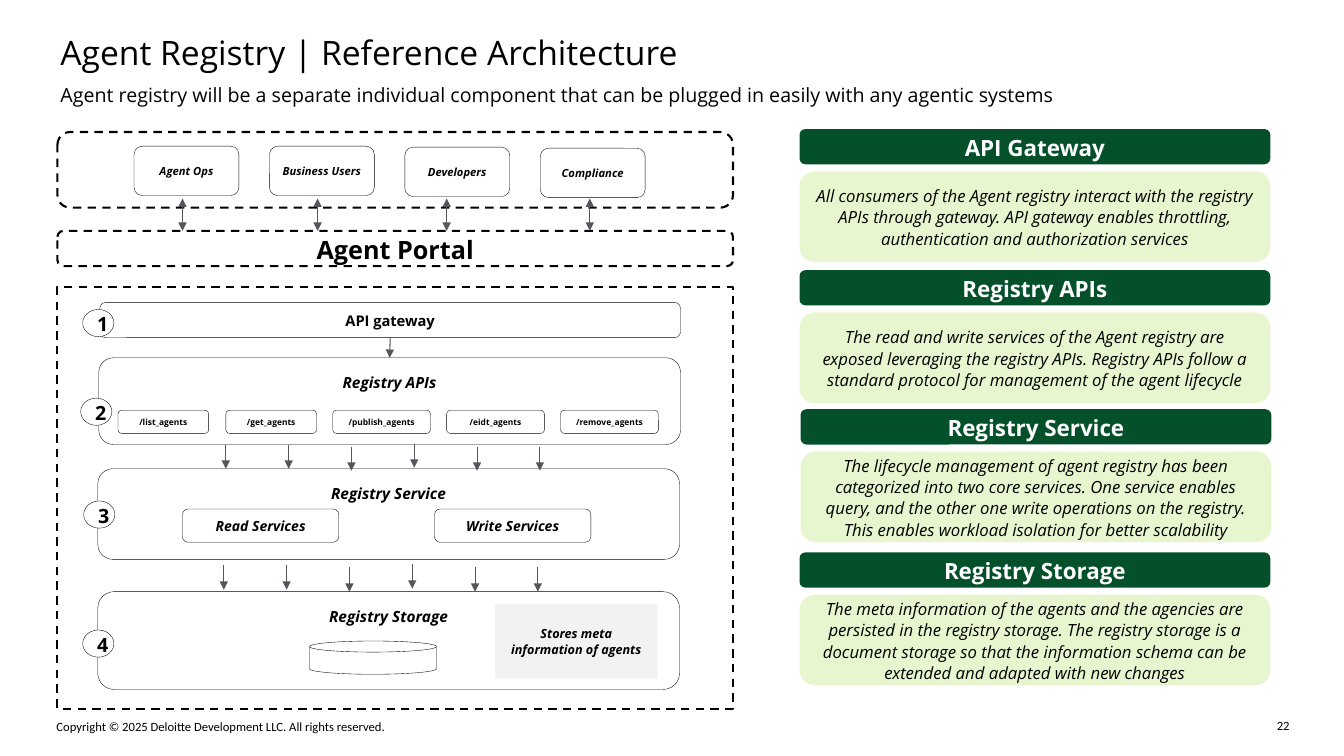
from lxml import etree
from pptx import Presentation, util as u
from pptx.dml.color import RGBColor
from pptx.enum import dml, shapes, text
from pptx.oxml.ns import qn

INK = {"black": "000000", "white": "FFFFFF", "gray": "53565A",
       "pale": "F2F2F2", "green": "03502A", "lime": "E8F6CF"}
FORM = shapes.MSO_SHAPE
ROUND = FORM.ROUNDED_RECTANGLE
MID = text.MSO_ANCHOR.MIDDLE
TOP = text.MSO_ANCHOR.TOP
ALIGN = text.PP_ALIGN
BOLD = {"bold": True}
SLANT = {"italic": True}
BOTH = {**BOLD, **SLANT}


def apply(item, values):
    for name, value in values.items():
        setattr(item, name, value)


class Board:
    def __init__(self, deck):
        self.slide = deck.slides.add_slide(deck.slide_layouts[5])
        self.shapes = self.slide.shapes
        self.face = "Open Sans"

    def fit(self, frame, words, size, font=None, ink="black", pad=0,
            anchor=TOP, wrap=True, **para):
        apply(frame, {"word_wrap": wrap, "auto_size": text.MSO_AUTO_SIZE.NONE,
                      "vertical_anchor": anchor})
        for side in ("left", "top", "right", "bottom"):
            setattr(frame, "margin_" + side, u.Inches(pad))
        line = frame.paragraphs[0]
        apply(line, {"alignment": ALIGN.LEFT, **para})
        run = line.add_run()
        run.text = words
        apply(run.font, {"name": self.face, "size": u.Pt(size),
                         "bold": False, "italic": False, **(font or {})})
        run.font.color.rgb = RGBColor.from_string(INK[ink])

    def title(self, at, words, size):
        head = self.shapes.title
        apply(head, dict(zip(("left", "top", "width", "height"), map(u.Inches, at))))
        self.fit(head.text_frame, words, size)

    def label(self, at, words, size, **style):
        note = self.shapes.add_textbox(*map(u.Inches, at))
        self.fit(note.text_frame, words, size, **style)

    def box(self, at, words="", size=11, font=BOTH, form=ROUND, fill=None,
            edge=0.25, dash=False, anchor=MID, ink="black"):
        item = self.shapes.add_shape(form, *map(u.Inches, at))
        item.shadow.inherit = False
        if fill:
            item.fill.solid()
            item.fill.fore_color.rgb = RGBColor.from_string(INK[fill])
        else:
            item.fill.background()
        if edge:
            item.line.color.rgb = RGBColor.from_string(INK["black"])
            item.line.width = u.Pt(edge)
            if dash:
                item.line.dash_style = dml.MSO_LINE.DASH
        else:
            item.line.fill.background()
        if words:
            self.fit(item.text_frame, words, size, font, ink, 0.1, anchor,
                     alignment=ALIGN.CENTER, line_spacing=1.06)
        return item

    def arrow(self, start, end, ends=("tailEnd",), join=None):
        line = self.shapes.add_connector(
            shapes.MSO_CONNECTOR.STRAIGHT, *map(u.Inches, start + end))
        if join:
            line.begin_connect(join[0], 2)
            line.end_connect(join[1], 0)
        line.line.color.rgb = RGBColor.from_string(INK["gray"])
        line.line.width = u.Pt(0.75)
        edge = line._element.spPr.find(qn("a:ln"))
        for tip in ends:
            etree.SubElement(edge, qn("a:" + tip), type="triangle")
        etree.SubElement(line._element.spPr, qn("a:effectLst"))


def users(board):
    board.box((0.57, 1.31, 6.7, 0.75), edge=1.5, dash=True)
    board.box((0.57, 2.29, 6.7, 0.35), "Agent Portal", 18, BOLD, edge=1.5, dash=True)
    crew = [("Agent Ops", 1.45, 1.81), ("Business Users", 1.45, 3.15),
            ("Developers", 1.46, 4.43), ("Compliance", 1.47, 5.85)]
    for i, (name, y, mid) in enumerate(crew):
        board.box((1.33 + 1.343 * i, y, 1.04, 0.49), name, 8)
        board.arrow((mid, 1.97), (mid, 2.29), ("headEnd", "tailEnd"))


def stack(board):
    board.box((0.57, 2.85, 6.7, 4.18), form=FORM.RECTANGLE, edge=1.5, dash=True)
    gate = board.box((0.99, 3, 5.76, 0.35), "API gateway", 10.5, BOLD)
    apis = board.box((0.98, 3.55, 5.77, 0.86), "Registry APIs", anchor=TOP)
    board.box((0.97, 4.65, 5.77, 0.9), "Registry Service", anchor=TOP)
    board.box((0.97, 5.87, 5.77, 0.97), "Registry Storage", anchor=TOP)
    board.arrow((3.87, 3.35), (3.87, 3.55), join=(gate, apis))

    calls = [("list", 1.17, 0.9), ("get", 2.24, 0.9), ("publish", 3.3, 0.97),
             ("eidt", 4.43, 0.97), ("remove", 5.56, 0.97)]
    for verb, x, wide in calls:
        board.box((x, 4.07, wide, 0.23), f"/{verb}_agents", 6, BOLD)
    for name, x in (("Read", 1.81), ("Write", 4.31)):
        board.box((x, 5.05, 1.55, 0.33), name + " Services", 10, fill="white")
    board.box((3.07, 6.36, 1.26, 0.33), form=FORM.FLOWCHART_MAGNETIC_DISK)
    board.box((4.91, 5.99, 1.61, 0.74), "Stores meta information of agents", 9,
              form=FORM.RECTANGLE, fill="pale", edge=0)

    for left, top in ((2.24, 4.41), (2.22, 5.61)):
        for i, drop in enumerate((0, 0, 0.02, -0.01, 0.02, 0.02)):
            x, y = left + 0.623 * i, top + drop
            board.arrow((x, y), (x, y + 0.24))
    spots = [(0.82, 3.07), (0.8, 3.95), (0.83, 4.97), (0.82, 6.25)]
    for i, spot in enumerate(spots, 1):
        board.box(spot + (0.31, 0.27), str(i), 14, BOLD, FORM.OVAL, "white")


def cards(board):
    parts = [
        ("API Gateway", 7.93, 1.28,
         "All consumers of the Agent registry interact with the registry APIs through "
         "gateway. API gateway enables throttling, authentication and authorization services"),
        ("Registry APIs", 7.93, 2.68,
         "The read and write services of the Agent registry are exposed leveraging the "
         "registry APIs. Registry APIs follow a standard protocol for management of the "
         "agent lifecycle"),
        ("Registry Service", 7.94, 4.06,
         "The lifecycle management of agent registry has been categorized into two core "
         "services. One service enables query, and the other one write operations on the "
         "registry. This enables workload isolation for better scalability"),
        ("Registry Storage", 7.93, 5.48,
         "The meta information of the agents and the agencies are persisted in the registry "
         "storage. The registry storage is a document storage so that the information schema "
         "can be extended and adapted with new changes"),
    ]
    for name, x, y, words in parts:
        board.box((x, y, 4.67, 0.35), name, 16, BOLD, fill="green", edge=0, ink="white")
        board.box((x, y + 0.42, 4.67, 0.9), words, 12, SLANT, fill="lime", edge=0)


def main():
    deck = Presentation()
    deck.slide_width, deck.slide_height = u.Inches(13.33), u.Inches(7.5)
    board = Board(deck)
    board.title((0.6, 0.32, 12.37, 0.4), "Agent Registry | Reference Architecture", 24)
    board.label((0.6, 0.82, 12, 0.25), "Agent registry will be a separate individual "
                "component that can be plugged in easily with any agentic systems", 14)
    users(board)
    stack(board)
    cards(board)
    small = {"name": "Calibri"}
    board.label((0.56, 7.13, 5.86, 0.15), "Copyright © 2025 Deloitte Development LLC. "
                "All rights reserved.", 9, font=small)
    board.label((12.64, 7.12, 0.15, 0.15), "22", 9, font=small, wrap=False,
                alignment=ALIGN.RIGHT)
    deck.save("out.pptx")


if __name__ == "__main__":
    main()
